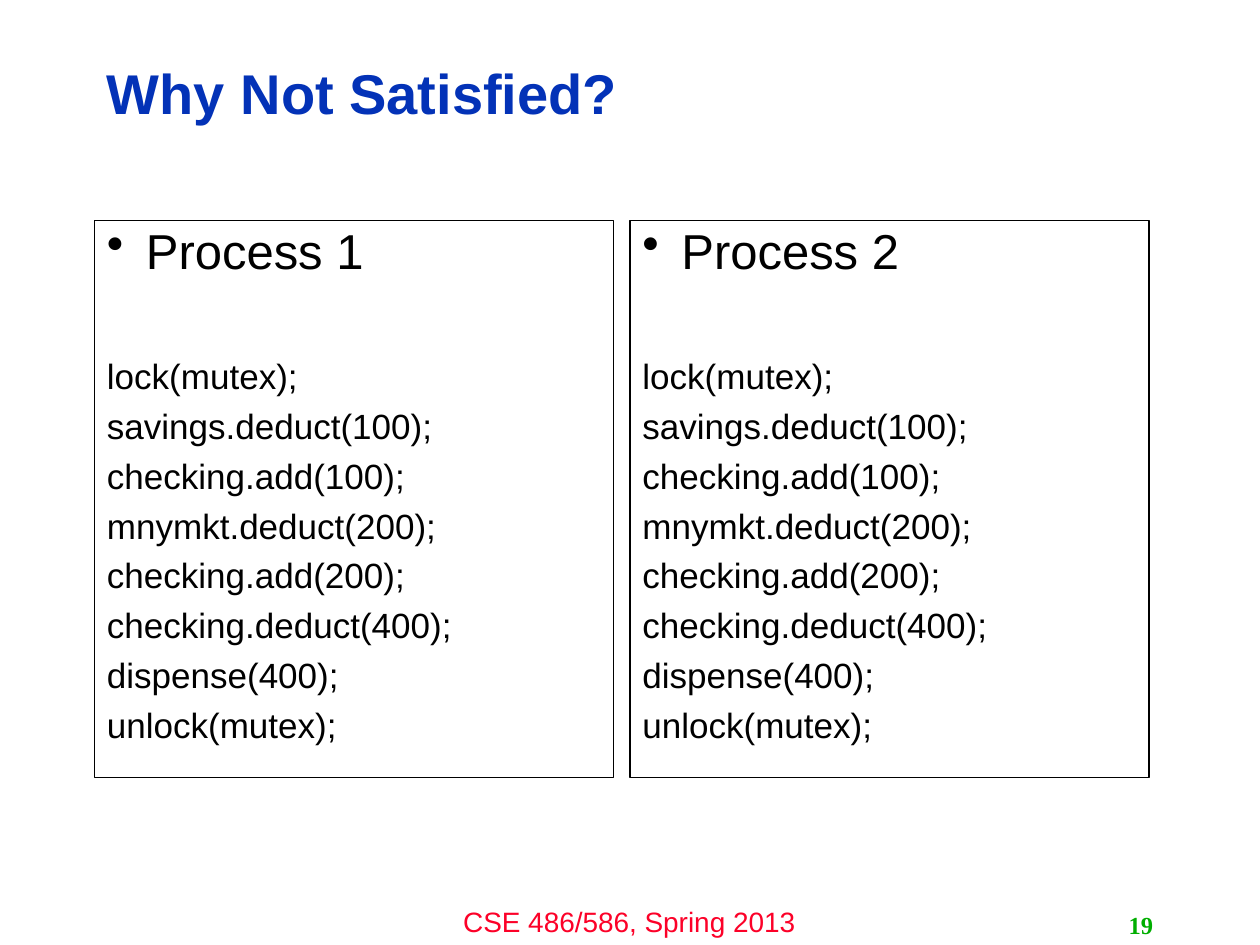
from lxml import etree
from pptx import Presentation
from pptx import util as u
from pptx.dml.color import RGBColor
from pptx.enum import shapes, text
from pptx.oxml.ns import qn

COLORS = {"title": "0332B7", "ink": "000000", "footer": "FC0128", "number": "00AE00"}
STATEMENTS = [
    "lock(mutex);",
    "savings.deduct(100);",
    "checking.add(100);",
    "mnymkt.deduct(200);",
    "checking.add(200);",
    "checking.deduct(400);",
    "dispense(400);",
    "unlock(mutex);",
]
HEADING_GAP = 45.5
STATEMENT_GAP = 6.9
HANG = u.Inches(0.31)


def rgb(name):
    return RGBColor.from_string(COLORS[name])


def write(paragraph, words, size, color="ink", font="Arial", bold=False,
          align=text.PP_ALIGN.LEFT, spacing=1.0, before=0):
    paragraph.alignment = align
    paragraph.line_spacing = spacing
    paragraph.space_before = u.Pt(before)
    run = paragraph.add_run()
    run.text = words
    run.font.name = font
    run.font.size = u.Pt(size)
    run.font.bold = bold
    run.font.color.rgb = rgb(color)


def hang(paragraph, bullet=None):
    properties = paragraph._p.get_or_add_pPr()
    properties.set("marL", str(HANG))
    properties.set("indent", str(-HANG))
    if bullet:
        etree.SubElement(properties, qn("a:buChar")).set("char", bullet)


def add_label(slide, left, top, width, height, words, size,
              anchor=text.MSO_ANCHOR.MIDDLE, **style):
    label = slide.shapes.add_textbox(
        u.Inches(left), u.Inches(top), u.Inches(width), u.Inches(height))
    frame = label.text_frame
    frame.word_wrap = True
    frame.vertical_anchor = anchor
    write(frame.paragraphs[0], words, size, **style)


def add_process(slide, left, heading):
    panel = slide.shapes.add_shape(
        shapes.MSO_SHAPE.RECTANGLE,
        u.Inches(left), u.Inches(1.75), u.Inches(4.12), u.Inches(4.42))
    panel.shadow.inherit = False
    panel.fill.background()
    panel.line.color.rgb = rgb("ink")
    panel.line.width = u.Pt(0.75)
    frame = panel.text_frame
    frame.word_wrap = True
    frame.vertical_anchor = text.MSO_ANCHOR.TOP
    write(frame.paragraphs[0], heading, 28, spacing=0.9)
    hang(frame.paragraphs[0], "•")
    for index, statement in enumerate(STATEMENTS):
        line = frame.add_paragraph()
        write(line, statement, 20, spacing=0.9,
              before=STATEMENT_GAP if index else HEADING_GAP)
        hang(line)


def main():
    deck = Presentation()
    deck.slide_width = u.Inches(10)
    deck.slide_height = u.Inches(7.5)
    slide = deck.slides.add_slide(deck.slide_layouts[6])
    add_label(slide, 3.33, 7.13, 3.33, 0.37, "CSE 486/586, Spring 2013", 16,
              anchor=text.MSO_ANCHOR.TOP, color="footer", align=text.PP_ALIGN.CENTER)
    add_label(slide, 0.75, 0.36, 7.98, 0.81, "Why Not Satisfied?", 32,
              color="title", bold=True, spacing=0.9)
    for number, left in enumerate((0.75, 5), start=1):
        add_process(slide, left, f"Process {number}")
    add_label(slide, 7.17, 7.18, 2.08, 0.32, "19", 14, color="number",
              font="Times New Roman", bold=True, align=text.PP_ALIGN.RIGHT)
    deck.save("out.pptx")


if __name__ == "__main__":
    main()
